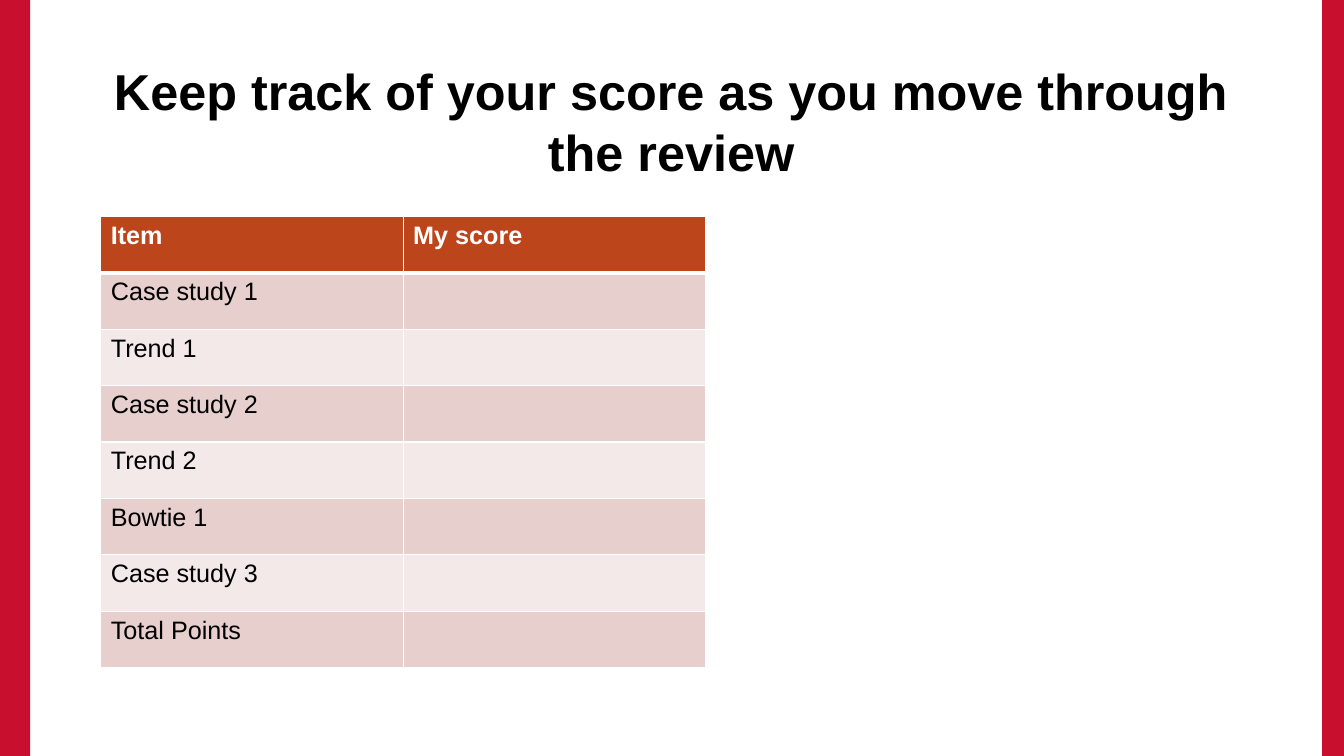
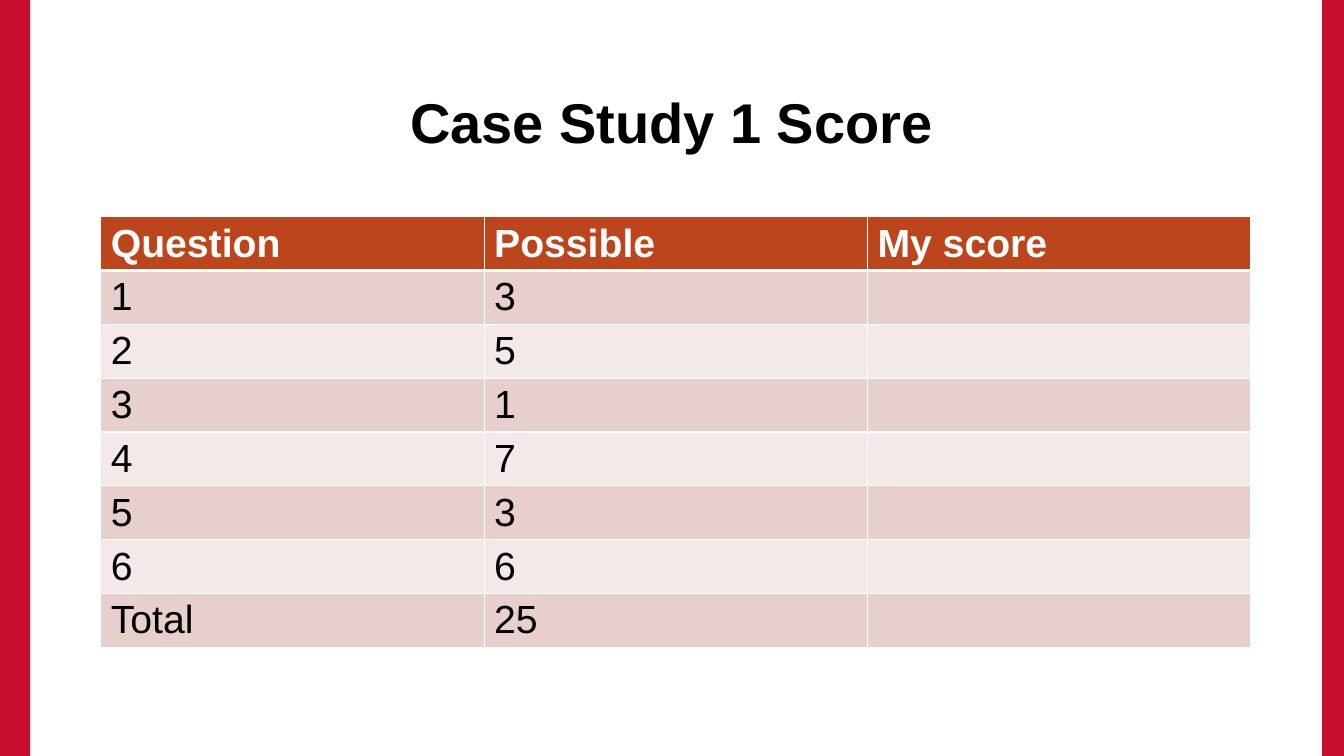
from lxml import etree
from pptx import Presentation
from pptx.dml.color import RGBColor
from pptx.enum.shapes import MSO_SHAPE
from pptx.enum.text import MSO_ANCHOR, MSO_AUTO_SIZE, PP_ALIGN
from pptx.oxml.ns import qn
from pptx.util import Cm, Pt

RECT = MSO_SHAPE.RECTANGLE
MIDDLE = MSO_ANCHOR.MIDDLE
CENTER = PP_ALIGN.CENTER
NO_FIT = MSO_AUTO_SIZE.NONE

FONT = "Arial"
BLACK, WHITE, RED = "000000", "FFFFFF", "C8102E"
HEADER, BANDS = "BC451B", ("E7CFCD", "F3E9E8")
SLIDE_W, SLIDE_H = 33.87, 19.05
LEFT_BAND, RIGHT_BAND = 0.76, 0.55
TITLE_BOX = (2.54, 1.7, 28.75, 2.69)
TABLE_LEFT, TABLE_TOP = 2.54, 5.46

SLIDES = [
    {
        "title": "Keep track of your score as you move through the review",
        "title_size": 36, "size": 18, "col_w": 7.62, "row_h": 1.42,
        "header": ["Item", "My score"],
        "rows": [["Case study 1"], ["Trend 1"], ["Case study 2"], ["Trend 2"],
                 ["Bowtie 1"], ["Case study 3"], ["Total Points"]],
    },
    {
        "title": "Case Study 1 Score",
        "title_size": 40, "size": 28, "col_w": 9.66, "row_h": 1.35,
        "header": ["Question", "Possible", "My score"],
        "rows": [["1", "3"], ["2", "5"], ["3", "1"], ["4", "7"],
                 ["5", "3"], ["6", "6"], ["Total", "25"]],
    },
]


def rgb(value):
    return RGBColor.from_string(value)


def write(tf, text, size, color=BLACK, bold=False, align=None):
    p = tf.paragraphs[0]
    p.alignment = align
    r = p.add_run()
    r.text = text
    r.font.name = FONT
    r.font.size = Pt(size)
    r.font.bold = bold
    r.font.color.rgb = rgb(color)


def set_borders(cell, bottom=1, top=1):
    tcPr = cell._tc.get_or_add_tcPr()
    widths = (("lnL", 1), ("lnR", 1), ("lnT", top), ("lnB", bottom))
    for i, (side, width) in enumerate(widths):
        ln = etree.Element(qn("a:" + side), w=str(Pt(width)))
        fill = etree.SubElement(ln, qn("a:solidFill"))
        etree.SubElement(fill, qn("a:srgbClr"), val=WHITE)
        tcPr.insert(i, ln)


def add_score_table(slide, header, rows, size, col_w, row_h):
    n_rows, n_cols = len(rows) + 1, len(header)
    table = slide.shapes.add_table(
        n_rows, n_cols, Cm(TABLE_LEFT), Cm(TABLE_TOP),
        Cm(col_w * n_cols), Cm(row_h * n_rows)).table
    for col in table.columns:
        col.width = Cm(col_w)
    for i, texts in enumerate([header] + rows):
        table.rows[i].height = Cm(row_h)
        is_header = i == 0
        for j in range(n_cols):
            cell = table.cell(i, j)
            cell.fill.solid()
            cell.fill.fore_color.rgb = rgb(HEADER if is_header else BANDS[(i - 1) % 2])
            set_borders(cell, bottom=3 if is_header else 1, top=3 if i == 1 else 1)
            if j < len(texts):
                write(cell.text_frame, texts[j], size,
                      color=WHITE if is_header else BLACK, bold=is_header)


def add_master_bands(prs, slide):
    bands = ((0, LEFT_BAND), (SLIDE_W - RIGHT_BAND, RIGHT_BAND))
    for i, (left, width) in enumerate(bands):
        sp = slide.shapes.add_shape(RECT, Cm(left), 0, Cm(width), prs.slide_height)
        sp.shadow.inherit = False
        sp.fill.solid()
        sp.fill.fore_color.rgb = rgb(RED)
        sp.line.fill.background()
        sp.element.nvSpPr.cNvPr.set("id", str(101 + i))
        prs.slide_master.shapes.element.insert(2 + i, sp.element)


def place_title(title):
    title.left, title.top, title.width, title.height = (Cm(v) for v in TITLE_BOX)


def main():
    prs = Presentation()
    prs.slide_width, prs.slide_height = Cm(SLIDE_W), Cm(SLIDE_H)
    layout = prs.slide_layouts[5]
    place_title(layout.placeholders[0])
    for i, content in enumerate(SLIDES):
        s = prs.slides.add_slide(layout)
        if i == 0:
            add_master_bands(prs, s)
        tf = s.shapes.title.text_frame
        tf.auto_size = NO_FIT
        tf.vertical_anchor = MIDDLE
        write(tf, content["title"], content["title_size"], bold=True, align=CENTER)
        add_score_table(s, content["header"], content["rows"], content["size"],
                        content["col_w"], content["row_h"])
    prs.save("out.pptx")


if __name__ == "__main__":
    main()
